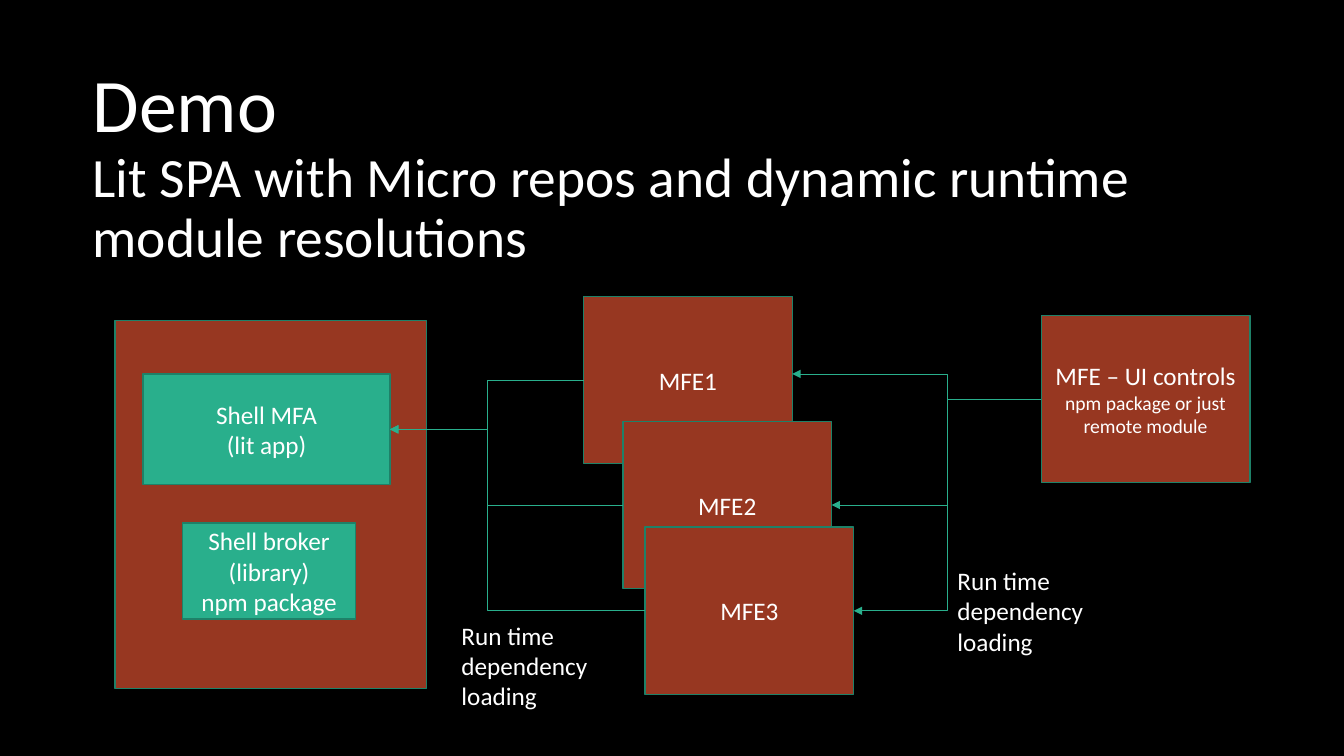
from dataclasses import dataclass

from lxml import etree
from pptx import Presentation
from pptx.dml.color import RGBColor
from pptx.enum.shapes import MSO_CONNECTOR, MSO_SHAPE
from pptx.enum.text import MSO_ANCHOR, PP_ALIGN
from pptx.oxml.ns import qn
from pptx.shapes.autoshape import Shape
from pptx.slide import Slide
from pptx.util import Inches, Pt

RECT = MSO_SHAPE.RECTANGLE
ELBOW = MSO_CONNECTOR.ELBOW
MIDDLE, TOP = MSO_ANCHOR.MIDDLE, MSO_ANCHOR.TOP
CENTER, LEFT = PP_ALIGN.CENTER, PP_ALIGN.LEFT

FONT = "Calibri"
BLACK, WHITE = "000000", "FFFFFF"
RUST, GREEN, EDGE = "973721", "29AF8C", "1E8168"
LEFT_SITE, RIGHT_SITE = 1, 3

WIDTH, HEIGHT = Inches(13.33), Inches(7.5)
COLUMN, ROW = WIDTH / 40, HEIGHT / 22.5
MFE_COLS, MFE_ROWS = 6.21, 4.98
SHELL_BEND, CONTROLS_BEND = 14.5, 28.2

Run = tuple[str, float]
Paragraphs = list[list[Run]]


@dataclass(frozen=True)
class Box:
    name: str
    col: float
    row: float
    cols: float
    rows: float
    fill: str
    text: Paragraphs

    @property
    def middle(self) -> float:
        return self.row + self.rows / 2


@dataclass(frozen=True)
class Label:
    col: float
    row: float
    cols: float
    rows: float
    text: Paragraphs
    anchor: MSO_ANCHOR = TOP
    spacing: float = 1.0


@dataclass(frozen=True)
class Link:
    source: str
    target: str
    bend: float
    lift: float = 0


def mfe(name: str, col: float, row: float, text: Paragraphs) -> Box:
    return Box(name, col, row, MFE_COLS, MFE_ROWS, RUST, text)


BOXES = [
    Box("panel", 3.42, 9.54, 9.27, 10.95, RUST, []),
    Box("shell", 4.26, 11.13, 7.35, 3.3, GREEN, [[("Shell MFA\n(lit app)", 18)]]),
    Box("broker", 5.43, 15.57, 5.16, 2.85, GREEN,
        [[("Shell broker\n(library)", 18)], [("npm package", 18)]]),
    mfe("mfe1", 17.37, 8.82, [[("MFE1", 18)]]),
    mfe("mfe2", 18.54, 12.54, [[("MFE2", 18)]]),
    mfe("mfe3", 19.2, 15.69, [[("MFE3", 18)]]),
    mfe("controls", 30.99, 9.39,
        [[("MFE – UI controls", 18)], [("npm package or just remote module", 14)]]),
]

LOADING: Paragraphs = [[("Run time dependency loading", 18)]]
TITLE: Paragraphs = [[
    ("Demo\n", 54),
    ("Lit SPA with Micro repos and dynamic runtime module resolutions", 39.6),
]]
LABELS = [
    Label(2.46, 2.22, 34.5, 5.58, TITLE, MIDDLE, 0.9),
    Label(28.2, 16.68, 4.35, 3.03, LOADING),
    Label(13.44, 18.3, 5.1, 3.03, LOADING),
]

LINKS = [
    Link("controls", "mfe1", CONTROLS_BEND, 0.18),
    Link("controls", "mfe2", CONTROLS_BEND),
    Link("controls", "mfe3", CONTROLS_BEND),
    Link("mfe1", "shell", SHELL_BEND),
    Link("mfe2", "shell", SHELL_BEND),
    Link("mfe3", "shell", SHELL_BEND),
]


def color(value: str) -> RGBColor:
    return RGBColor.from_string(value)


def x(cols: float) -> int:
    return round(cols * COLUMN)


def y(rows: float) -> int:
    return round(rows * ROW)


def write(s: Shape, text: Paragraphs, *, align: PP_ALIGN = LEFT,
          anchor: MSO_ANCHOR = TOP, spacing: float = 1.0) -> None:
    tf = s.text_frame
    tf.word_wrap = True
    tf.vertical_anchor = anchor
    for i, runs in enumerate(text):
        p = tf.add_paragraph() if i else tf.paragraphs[0]
        p.alignment = align
        p.line_spacing = spacing
        for content, size in runs:
            for j, line in enumerate(content.split("\n")):
                if j:
                    p.add_line_break()
                if line:
                    r = p.add_run()
                    r.text = line
                    r.font.name = FONT
                    r.font.size = Pt(size)
                    r.font.color.rgb = color(WHITE)


def draw_box(slide: Slide, box: Box) -> Shape:
    s = slide.shapes.add_shape(RECT, x(box.col), y(box.row), x(box.cols), y(box.rows))
    s.shadow.inherit = False
    s.fill.solid()
    s.fill.fore_color.rgb = color(box.fill)
    s.line.color.rgb = color(EDGE)
    s.line.width = Pt(1)
    write(s, box.text, align=CENTER, anchor=MIDDLE)
    return s


def draw_label(slide: Slide, label: Label) -> None:
    s = slide.shapes.add_textbox(x(label.col), y(label.row), x(label.cols), y(label.rows))
    write(s, label.text, anchor=label.anchor, spacing=label.spacing)


def draw_link(slide: Slide, link: Link, boxes: dict[str, Box],
              shapes: dict[str, Shape]) -> None:
    source, target = boxes[link.source], boxes[link.target]
    start, end = source.col, target.col + target.cols
    s = slide.shapes.add_connector(ELBOW, x(start), y(source.middle),
                                   x(end), y(target.middle - link.lift))
    s.begin_connect(shapes[link.source], LEFT_SITE)
    if not link.lift:
        s.end_connect(shapes[link.target], RIGHT_SITE)
    s.line.color.rgb = color(GREEN)
    s.line.width = Pt(0.5)
    props = s._element.spPr
    etree.SubElement(props.find(qn("a:ln")), qn("a:tailEnd"), type="triangle")
    etree.SubElement(props, qn("a:effectLst"))
    guides = props.find(qn("a:prstGeom")).get_or_add_avLst()
    share = round((start - link.bend) / (start - end) * 100000)
    etree.SubElement(guides, qn("a:gd"), name="adj1", fmla=f"val {share}")


def main() -> None:
    prs = Presentation()
    prs.slide_width, prs.slide_height = WIDTH, HEIGHT
    slide = prs.slides.add_slide(prs.slide_layouts[6])
    slide.background.fill.solid()
    slide.background.fill.fore_color.rgb = color(BLACK)
    boxes = {box.name: box for box in BOXES}
    shapes = {box.name: draw_box(slide, box) for box in BOXES}
    for link in LINKS:
        draw_link(slide, link, boxes, shapes)
    for label in LABELS:
        draw_label(slide, label)
    prs.save("out.pptx")


if __name__ == "__main__":
    main()
